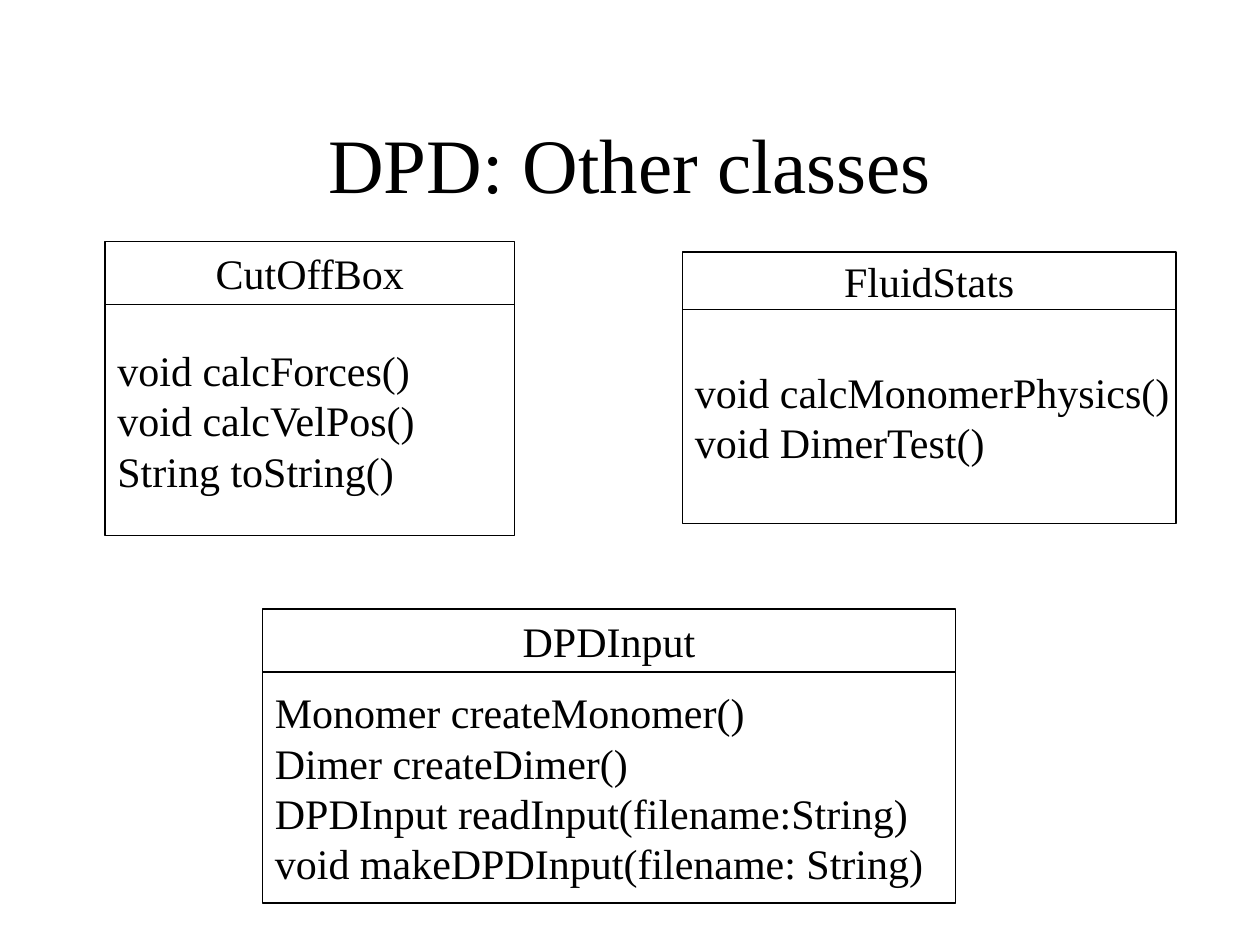
from pptx import Presentation
from pptx.dml.color import RGBColor
from pptx.enum.shapes import MSO_SHAPE as Shape
from pptx.enum.text import MSO_ANCHOR as Anchor, PP_ALIGN as Align
from pptx.util import Pt

BLACK = RGBColor(0, 0, 0)
FONT = "Times New Roman"
FRAME = {
    "margin_left": Pt(7.2),
    "margin_right": Pt(7.2),
    "margin_top": Pt(3.6),
    "margin_bottom": Pt(3.6),
    "vertical_anchor": Anchor.MIDDLE,
}
CLASSES = [
    ("CutOffBox", (60, 138, 234), (36, 132),
     ["void calcForces()", "void calcVelPos()", "String toString()"]),
    ("FluidStats", (390, 144, 282), (33, 122.4),
     ["void calcMonomerPhysics()", "void DimerTest()"]),
    ("DPDInput", (150, 348, 396), (36, 132),
     ["Monomer createMonomer()", "Dimer createDimer()",
      "DPDInput readInput(filename:String)",
      "void makeDPDInput(filename: String)"]),
]


def set_all(target, values):
    for name, value in values.items():
        setattr(target, name, value)


class ClassDiagram:
    """Draws UML class boxes in one style on the current slide."""

    def __init__(self, slide):
        self.slide = slide

    def fill_text(self, shape, lines, size, align, wrap):
        frame = shape.text_frame
        set_all(frame, {**FRAME, "word_wrap": wrap})
        frame.text = "\n".join(lines)
        for paragraph in frame.paragraphs:
            paragraph.alignment = align
            set_all(paragraph.font, {"name": FONT, "size": Pt(size)})
            paragraph.font.color.rgb = BLACK

    def title(self, text, left, top, width, height):
        shape = self.slide.shapes.title
        set_all(shape, {"left": Pt(left), "top": Pt(top),
                        "width": Pt(width), "height": Pt(height)})
        self.fill_text(shape, [text], 44, Align.CENTER, True)

    def compartment(self, group, bounds, lines, align):
        shape = group.shapes.add_shape(Shape.RECTANGLE, *map(Pt, bounds))
        shape.shadow.inherit = False
        shape.fill.background()
        shape.line.color.rgb = BLACK
        shape.line.width = Pt(0.75)
        self.fill_text(shape, lines, 24, align, False)

    def class_box(self, name, position, heights, methods):
        left, top, width = position
        group = self.slide.shapes.add_group_shape()
        rows = [([name], Align.CENTER), (methods, Align.LEFT)]
        for (lines, align), height in zip(rows, heights):
            self.compartment(group, (left, top, width, height), lines, align)
            top += height


def main():
    presentation = Presentation()
    set_all(presentation, {"slide_width": Pt(720), "slide_height": Pt(540)})
    slide = presentation.slides.add_slide(presentation.slide_layouts[5])
    diagram = ClassDiagram(slide)
    diagram.title("DPD: Other classes", 54, 48, 612, 90)
    for class_values in CLASSES:
        diagram.class_box(*class_values)
    presentation.save("out.pptx")


if __name__ == "__main__":
    main()
